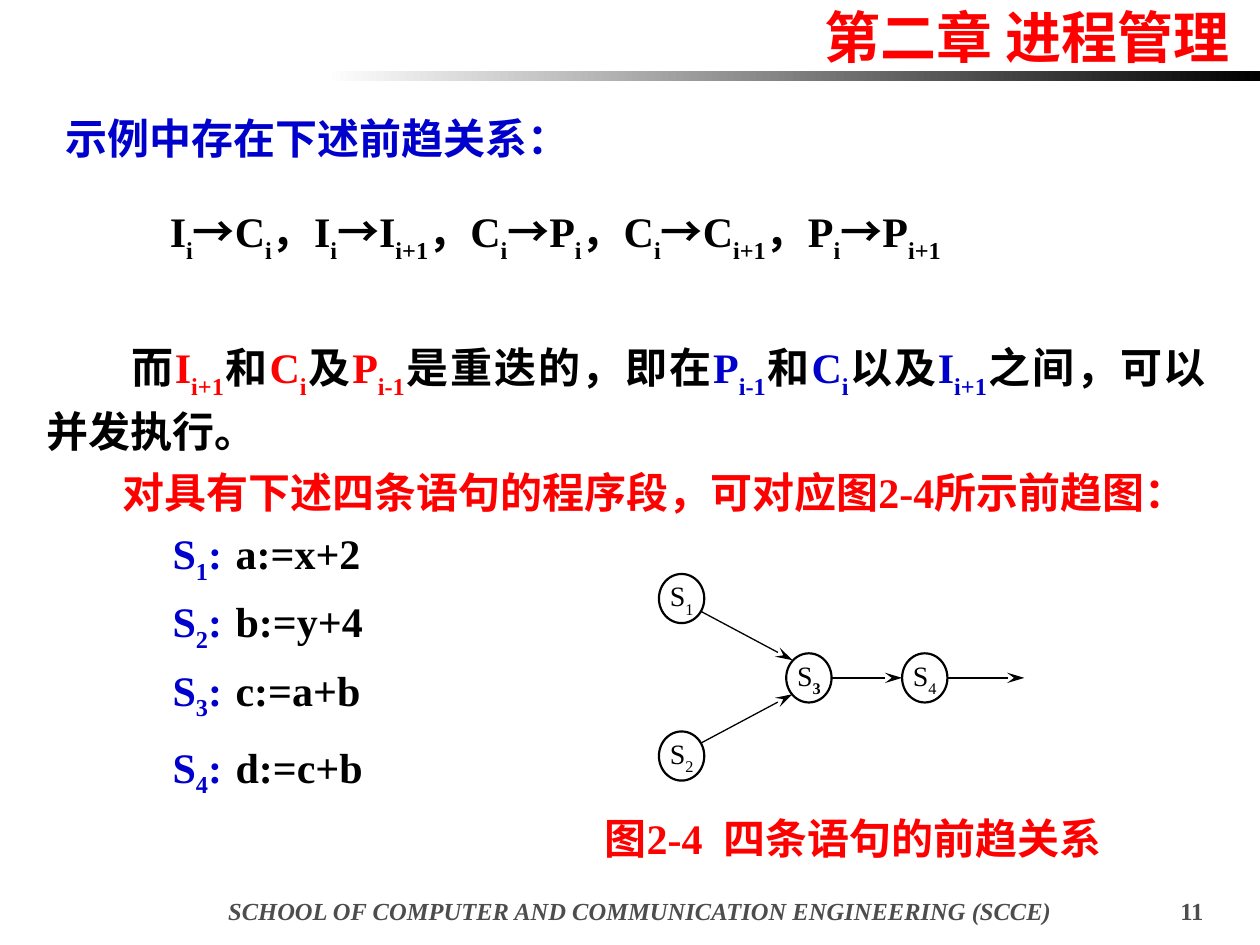
from itertools import groupby
from pptx import Presentation
from pptx.dml.color import RGBColor
from pptx.enum.shapes import MSO_CONNECTOR, MSO_SHAPE
from pptx.enum.text import MSO_ANCHOR, MSO_AUTO_SIZE, PP_ALIGN
from pptx.oxml.ns import qn
from pptx.util import Inches, Pt
from lxml import etree

OVAL, RECT = MSO_SHAPE.OVAL, MSO_SHAPE.RECTANGLE
LINE = MSO_CONNECTOR.STRAIGHT
TOP, MIDDLE = MSO_ANCHOR.TOP, MSO_ANCHOR.MIDDLE
LEFT, RIGHT, CENTER, JUSTIFY = PP_ALIGN.LEFT, PP_ALIGN.RIGHT, PP_ALIGN.CENTER, PP_ALIGN.JUSTIFY
FIXED = MSO_AUTO_SIZE.NONE
SERIF, HAN = "Times New Roman", "Noto Sans CJK SC"
RED, BLUE, BLACK, GRAY, WHITE = "FF0000", "0000CC", "000000", "4D4D4D", "FFFFFF"


def paint(color, value):
    color.rgb = RGBColor.from_string(value)


def write(par, bits, size=24, bold=True, drop=-30):
    for text, color in bits:
        for num, part in enumerate(text.split("_")):
            for wide, chars in groupby(part, key=lambda c: c in "→，"):
                run = par.add_run()
                run.text = "".join(chars)
                font = run.font
                font.size, font.bold = Pt(size), bold
                font.name = HAN if wide else SERIF
                paint(font.color, color)
                props = font._element
                etree.SubElement(props, qn("a:ea")).set("typeface", HAN)
                if num % 2:
                    props.set("baseline", str(drop * 1000))


deck = Presentation()
deck.slide_width, deck.slide_height = Inches(10), Inches(7.5)
slide = deck.slides.add_slide(deck.slide_layouts[1])
shapes = slide.shapes
title, body = shapes.title, slide.placeholders[1]

for holder, (x, y, w, h) in ((title, (6.35, -0.03, 3.61, 0.64)), (body, (0.27, 2.61, 9.4, 3.78))):
    holder.left, holder.top, holder.width, holder.height = map(Inches, (x, y, w, h))
    frame = holder.text_frame
    frame.auto_size, frame.vertical_anchor = FIXED, TOP

head = title.text_frame.paragraphs[0]
head.alignment = RIGHT
write(head, [("第二章 进程管理 ", RED)], 32)

bar = shapes.add_shape(RECT, Inches(2.58), Inches(0.56), Inches(7.42), Inches(0.08))
bar.shadow.inherit = False
bar.line.fill.background()
bar.fill.gradient()
bar.fill.gradient_angle = 180
for stop, color in zip(bar.fill.gradient_stops, (BLACK, WHITE)):
    paint(stop.color, color)

order = "I_i_→C_i_，I_i_→I_i+1_，C_i_→P_i_，C_i_→C_i+1_，P_i_→P_i+1"
labels = [
    (0.42, 0.84, 4.27, 0.5, "示例中存在下述前趋关系：", 24, BLUE, LEFT),
    (1.25, 1.58, 7.04, 0.57, order, 24, BLACK, LEFT),
    (4.7, 6.4, 4.38, 0.5, "图2-4  四条语句的前趋关系", 24, RED, LEFT),
    (1.38, 7.06, 7.4, 0.28, "SCHOOL OF COMPUTER AND COMMUNICATION ENGINEERING (SCCE)", 14, GRAY, CENTER),
    (9.02, 7.06, 0.63, 0.28, "11", 14, GRAY, RIGHT),
]
for x, y, w, h, text, size, color, align in labels:
    box = shapes.add_textbox(Inches(x), Inches(y), Inches(w), Inches(h))
    box.text_frame.word_wrap = True
    par = box.text_frame.paragraphs[0]
    par.alignment = align
    write(par, [(text, color)], size)
    if align == CENTER:
        par.runs[0].font.italic = True

overlap = [
    ("而", BLACK), ("I_i+1", RED), ("和", BLACK), ("C_i", RED), ("及", BLACK), ("P_i-1", RED),
    ("是重迭的，即在", BLACK), ("P_i-1", BLUE), ("和", BLACK), ("C_i", BLUE), ("以及", BLACK),
    ("I_i+1", BLUE), ("之间，可以并发执行。", BLACK),
]
items = [
    (0, 0, 0.67, overlap),
    (0, 0, 0.6, [("对具有下述四条语句的程序段，可对应图2-4所示前趋图：", RED)]),
]
for num, code in enumerate(("a:=x+2", "b:=y+4", "c:=a+b", "d:=c+b"), 1):
    items.append((1, 1, 0, [(f"S_{num}_: \t", BLUE), (code, BLACK)]))

frame = body.text_frame
for num, (level, margin, indent, bits) in enumerate(items):
    par = frame.add_paragraph() if num else frame.paragraphs[0]
    par.level, par.alignment = level, JUSTIFY
    par.line_spacing, par.space_before = 1.1, Pt(3)
    props = par._p.get_or_add_pPr()
    props.set("marL", str(Inches(margin)))
    props.set("indent", str(Inches(indent)))
    etree.SubElement(props, qn("a:buNone"))
    if level:
        tabs = etree.SubElement(props, qn("a:tabLst"))
        etree.SubElement(tabs, qn("a:tab"), pos=str(Inches(2)), algn="l")
    write(par, bits, drop=-25 if level else -30)
par.alignment, par.space_before = LEFT, Pt(3.5)
write(par, [(" ", BLACK)], 28)

arrows = [
    (5.54, 4.84, 6.29, 5.24),
    (5.54, 5.91, 6.29, 5.51),
    (6.6, 5.38, 7.16, 5.38),
    (7.52, 5.38, 8.13, 5.38),
]
for ends in arrows:
    arrow = shapes.add_connector(LINE, *map(Inches, ends))
    paint(arrow.line.color, BLACK)
    arrow.line.width = Pt(0.75)
    etree.SubElement(arrow.line._get_or_add_ln(), qn("a:tailEnd"), type="stealth", w="med", len="lg")
    etree.SubElement(arrow._element.spPr, qn("a:effectLst"))

wide, high = 0.36, 0.39
for num, (x, y) in enumerate(((5.41, 4.75), (5.41, 6), (6.42, 5.38), (7.34, 5.38)), 1):
    node = shapes.add_shape(OVAL, Inches(x - wide / 2), Inches(y - high / 2), Inches(wide), Inches(high))
    node.shadow.inherit = False
    node.fill.solid()
    paint(node.fill.fore_color, WHITE)
    paint(node.line.color, BLACK)
    node.line.width = Pt(1.25)
    frame = node.text_frame
    frame.margin_left = frame.margin_right = frame.margin_top = frame.margin_bottom = 0
    frame.word_wrap, frame.vertical_anchor = False, MIDDLE
    par = frame.paragraphs[0]
    par.alignment = CENTER
    write(par, [(f"S_{num}", BLACK)], 16, False)
    par.runs[1].font.bold = num == 3

deck.save("out.pptx")
